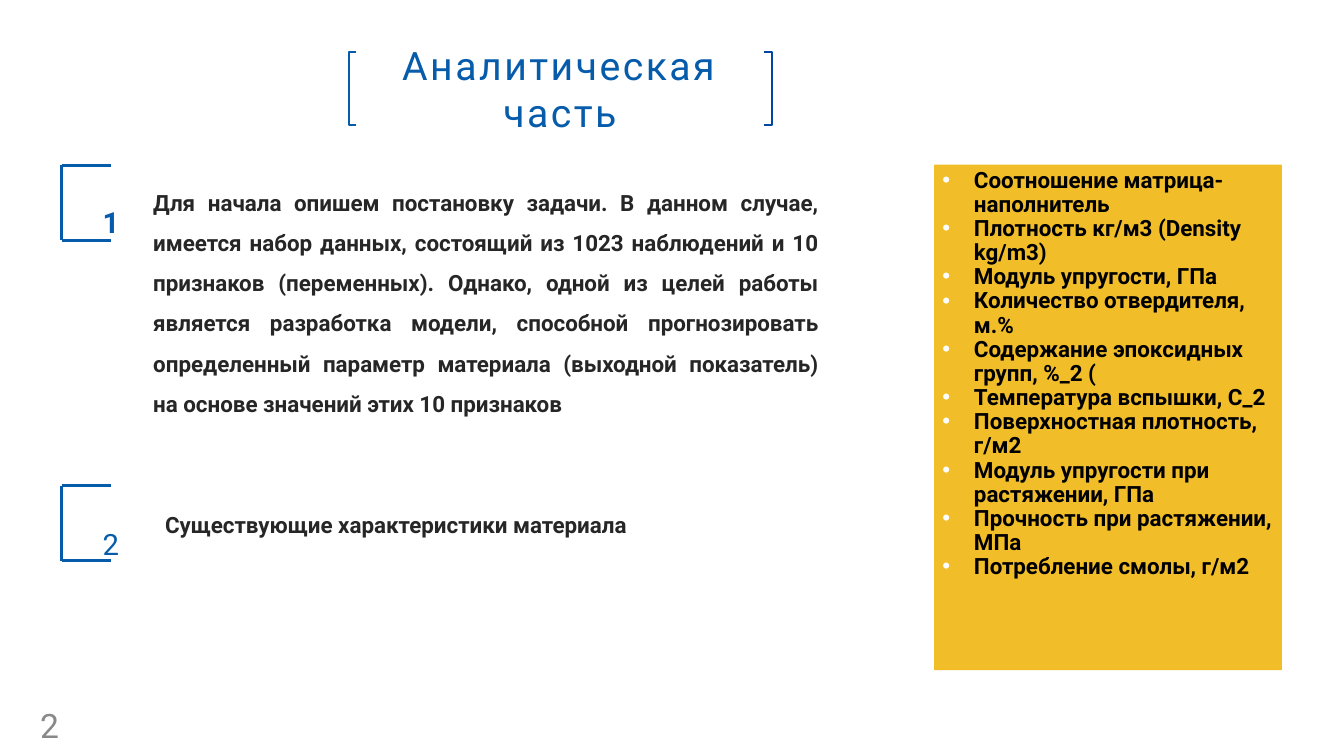
from pptx import Presentation
from pptx.dml.color import RGBColor
from pptx.enum.shapes import MSO_CONNECTOR as Link, MSO_SHAPE as Kind
from pptx.enum.text import MSO_ANCHOR as Anchor, PP_ALIGN as Align
from pptx.oxml.ns import qn
from pptx.util import Pt
from lxml.etree import SubElement as Sub

BLUE, DARK, GOLD = "065CAB", "262626", "F1BE29"


def tint(code):
    return RGBColor.from_string(code)


def write(shape, lines, size=16, color=DARK, bold=False, align=Align.LEFT,
          anchor=Anchor.TOP, pad=(7.2, 3.6), space=None, bullet=False,
          track=None, raised=False):
    frame = shape.text_frame
    frame.word_wrap = True
    frame.vertical_anchor = anchor
    frame.margin_left = frame.margin_right = Pt(pad[0])
    frame.margin_top = frame.margin_bottom = Pt(pad[1])
    for i, line in enumerate(lines):
        para = frame.paragraphs[0] if i == 0 else frame.add_paragraph()
        para.alignment = align
        para.line_spacing = space
        if bullet:
            props = para._p.get_or_add_pPr()
            props.set("marL", str(Pt(22.5)))
            props.set("indent", str(-Pt(22.5)))
            Sub(Sub(props, qn("a:buClr")), qn("a:srgbClr"), val="FFFFFF")
            Sub(props, qn("a:buFont"), typeface="Arial")
            Sub(props, qn("a:buChar"), char="•")
        run = para.add_run()
        run.text = line
        font = run.font
        font.name, font.size, font.bold = "Roboto", Pt(size), bold
        font.color.rgb = tint(color)
        if track:
            run._r.get_or_add_rPr().set("spc", str(track))
        if raised:
            run._r.get_or_add_rPr().set("baseline", "30000")


deck = Presentation()
deck.slide_width, deck.slide_height = Pt(960), Pt(540)
slide = deck.slides.add_slide(deck.slide_layouts[6])
shapes = slide.shapes

title = shapes.add_shape(Kind.RECTANGLE, Pt(249), Pt(37), Pt(302), Pt(52.5))
title.shadow.inherit = False
title.fill.solid()
title.fill.fore_color.rgb = tint("FFFFFF")
title.line.color.rgb = tint("FFFFFF")
title.line.width = Pt(2)
write(title, ["Аналитическая часть"], size=28, color=BLUE, align=Align.CENTER,
      anchor=Anchor.MIDDLE, track=180)

for tip, edge, color in [(254.4, 249, BLUE), (546, 551.4, "0046A2")]:
    pen = shapes.build_freeform(Pt(tip), Pt(37), scale=1.0)
    pen.add_line_segments([(Pt(edge), Pt(37)), (Pt(edge), Pt(89.5)),
                           (Pt(tip), Pt(89.5))], close=False)
    hook = pen.convert_to_shape()
    hook.shadow.inherit = False
    hook.fill.background()
    hook.line.color.rgb = tint(color)
    hook.line.width = Pt(1.3)

page = shapes.add_textbox(Pt(21.6), Pt(507), Pt(44.6), Pt(21.6))
write(page, ["2"], size=24, color="898989", anchor=Anchor.MIDDLE)

task = shapes.add_textbox(Pt(102.4), Pt(121.7), Pt(489.6), Pt(181.4))
write(task, ["Для начала опишем постановку задачи. В данном случае, имеется набор "
             "данных, состоящий из 1023 наблюдений и 10 признаков (переменных). "
             "Однако, одной из целей работы является разработка модели, способной "
             "прогнозировать определенный параметр материала (выходной показатель) "
             "на основе значений этих 10 признаков"],
      bold=True, align=Align.JUSTIFY, space=1.5)

traits = [
    "Соотношение матрица-наполнитель",
    "Плотность кг/м3 (Density kg/m3)",
    "Модуль упругости, ГПа",
    "Количество отвердителя, м.%",
    "Содержание эпоксидных групп, %_2 (",
    "Температура вспышки, С_2",
    "Поверхностная плотность, г/м2",
    "Модуль упругости при растяжении, ГПа",
    "Прочность при растяжении, МПа",
    "Потребление смолы, г/м2",
]
panel = shapes.add_shape(Kind.RECTANGLE, Pt(667.2), Pt(117.6), Pt(248.4), Pt(361.2))
panel.shadow.inherit = False
panel.fill.solid()
panel.fill.fore_color.rgb = tint(GOLD)
panel.line.fill.background()
write(panel, traits, color="000000", bold=True, pad=(6, 3), space=0.9, bullet=True)

trait = shapes.add_textbox(Pt(110.9), Pt(361.4), Pt(489.6), Pt(26.6))
write(trait, ["Существующие характеристики материала"], bold=True)

for mark, top, label, bold in [("1", 118.2, 138.2, True), ("2", 347, 368, False)]:
    low = top + 53.6
    for x, y, right, end in [(44, top, 44, low), (44, top, 79.4, top),
                             (44, low, 79.4, low)]:
        side = shapes.add_connector(Link.STRAIGHT, Pt(x), Pt(y), Pt(right), Pt(end))
        side.line.color.rgb = tint(BLUE)
        side.line.width = Pt(2.25)
        Sub(side._element.spPr, qn("a:effectLst"))
    number = shapes.add_textbox(Pt(66.2), Pt(label), Pt(85), Pt(36))
    write(number, [mark], size=36, color=BLUE, bold=bold, raised=True)

deck.save("out.pptx")
